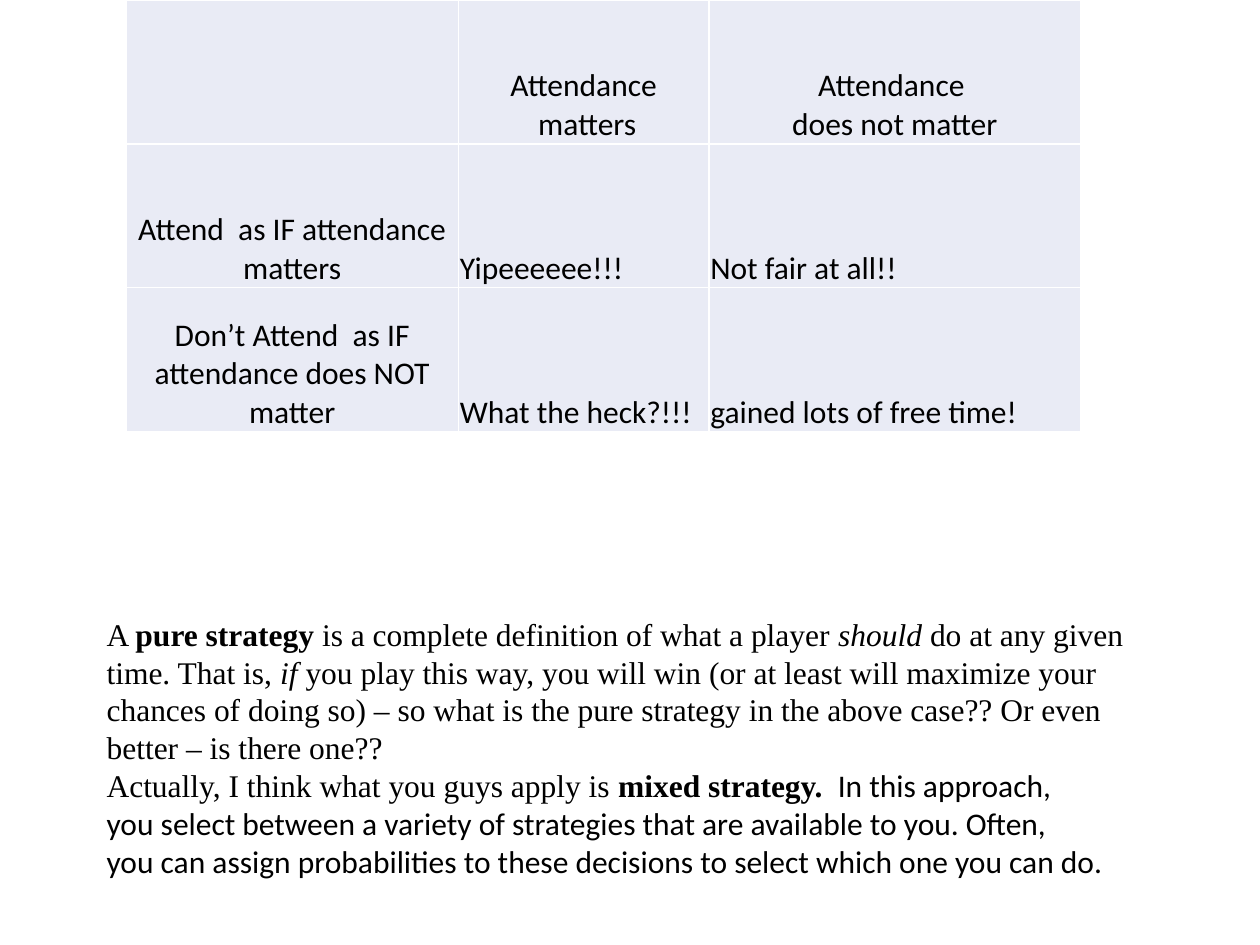
from lxml.etree import SubElement
from pptx import Presentation
from pptx.dml.color import RGBColor
from pptx.enum.text import MSO_ANCHOR, MSO_AUTO_SIZE, PP_ALIGN
from pptx.oxml.ns import qn
from pptx.util import Cm, Pt

BLACK = RGBColor(0x00, 0x00, 0x00)
WHITE = RGBColor(0xFF, 0xFF, 0xFF)
PALE_BLUE = RGBColor(0xE9, 0xEB, 0xF5)
SANS = "Calibri"
SERIF = "Times New Roman"

COLUMN_WIDTHS = [6.7, 5.05, 7.5]
ROW_HEIGHT = 2.9
PAYOFFS = [
    [[], ["Attendance", " matters"], ["Attendance ", "does not matter"]],
    [["Attend  as IF attendance matters"], ["Yipeeeeee!!!"], ["Not fair at all!!"]],
    [["Don’t Attend  as IF attendance does NOT matter"],
     ["What the heck?!!!"], ["gained lots of free time!"]],
]

BOLD = {"bold": True}
ITALIC = {"italic": True}
CALIBRI = {"name": SANS}
STRATEGIES = [
    [("A ", {}), ("pure strategy ", BOLD),
     ("is a complete definition of what a player ", {}),
     ("should ", ITALIC), ("do at any given", {})],
    [("time. That is, ", {}), ("if ", ITALIC),
     ("you play this way, you will win (or at least will maximize your", {})],
    [("chances of doing so) – so what is the pure strategy in the above case?? "
      "Or even better – is there one??", {})],
    [("Actually, I think what you guys apply is ", {}),
     ("mixed strategy. ", BOLD), (" In this approach,", CALIBRI)],
    [("you select between a variety of strategies that are available to you. Often,",
      CALIBRI)],
    [("you can assign probabilities to these decisions to select which one you can do.",
      CALIBRI)],
]


def add_run(paragraph, text, name=SERIF, size=18, color=BLACK, bold=False, italic=False):
    run = paragraph.add_run()
    run.text = text
    font = run.font
    font.name = name
    font.size = Pt(size)
    font.color.rgb = color
    font.bold = bold
    font.italic = italic


class SlideBuilder:
    def __init__(self, slide, fill, border):
        self.slide = slide
        self.fill = fill
        self.border = border

    def add_paragraphs(self, frame, paragraphs, alignment=PP_ALIGN.LEFT):
        for index, runs in enumerate(paragraphs):
            paragraph = frame.add_paragraph() if index else frame.paragraphs[0]
            paragraph.alignment = alignment
            for text, style in runs:
                add_run(paragraph, text, **style)

    def outline(self, cell):
        properties = cell._tc.get_or_add_tcPr()
        for index, side in enumerate(("lnL", "lnR", "lnT", "lnB")):
            line = SubElement(properties, qn(f"a:{side}"), w=str(Pt(1)))
            fill = SubElement(line, qn("a:solidFill"))
            SubElement(fill, qn("a:srgbClr"), val=str(self.border))
            properties.insert(index, line)

    def table(self, left, top, widths, row_height, rows):
        shape = self.slide.shapes.add_table(
            len(rows), len(widths), Cm(left), Cm(top),
            Cm(sum(widths)), Cm(row_height * len(rows)))
        table = shape.table
        for column, width in zip(table.columns, widths):
            column.width = Cm(width)
        for row_index, row in enumerate(rows):
            table.rows[row_index].height = Cm(row_height)
            for column_index, lines in enumerate(row):
                cell = table.cell(row_index, column_index)
                cell.fill.solid()
                cell.fill.fore_color.rgb = self.fill
                cell.vertical_anchor = MSO_ANCHOR.BOTTOM
                cell.margin_left = cell.margin_right = cell.margin_top = Cm(0.03)
                cell.margin_bottom = Cm(0)
                is_heading = row_index == 0 or column_index == 0
                self.add_paragraphs(
                    cell.text_frame, [[(line, CALIBRI)] for line in lines],
                    PP_ALIGN.CENTER if is_heading else PP_ALIGN.LEFT)
                self.outline(cell)

    def text_box(self, left, top, width, height, paragraphs):
        shape = self.slide.shapes.add_textbox(Cm(left), Cm(top), Cm(width), Cm(height))
        frame = shape.text_frame
        frame.word_wrap = True
        frame.auto_size = MSO_AUTO_SIZE.SHAPE_TO_FIT_TEXT
        self.add_paragraphs(frame, paragraphs)


def main():
    presentation = Presentation()
    presentation.slide_width = Cm(25.4)
    presentation.slide_height = Cm(19.05)
    slide = presentation.slides.add_slide(presentation.slide_layouts[6])
    builder = SlideBuilder(slide, PALE_BLUE, WHITE)
    builder.table(2.54, 0, COLUMN_WIDTHS, ROW_HEIGHT, PAYOFFS)
    builder.text_box(1.9, 12.27, 21.8, 5.64, STRATEGIES)
    presentation.save("out.pptx")


if __name__ == "__main__":
    main()
